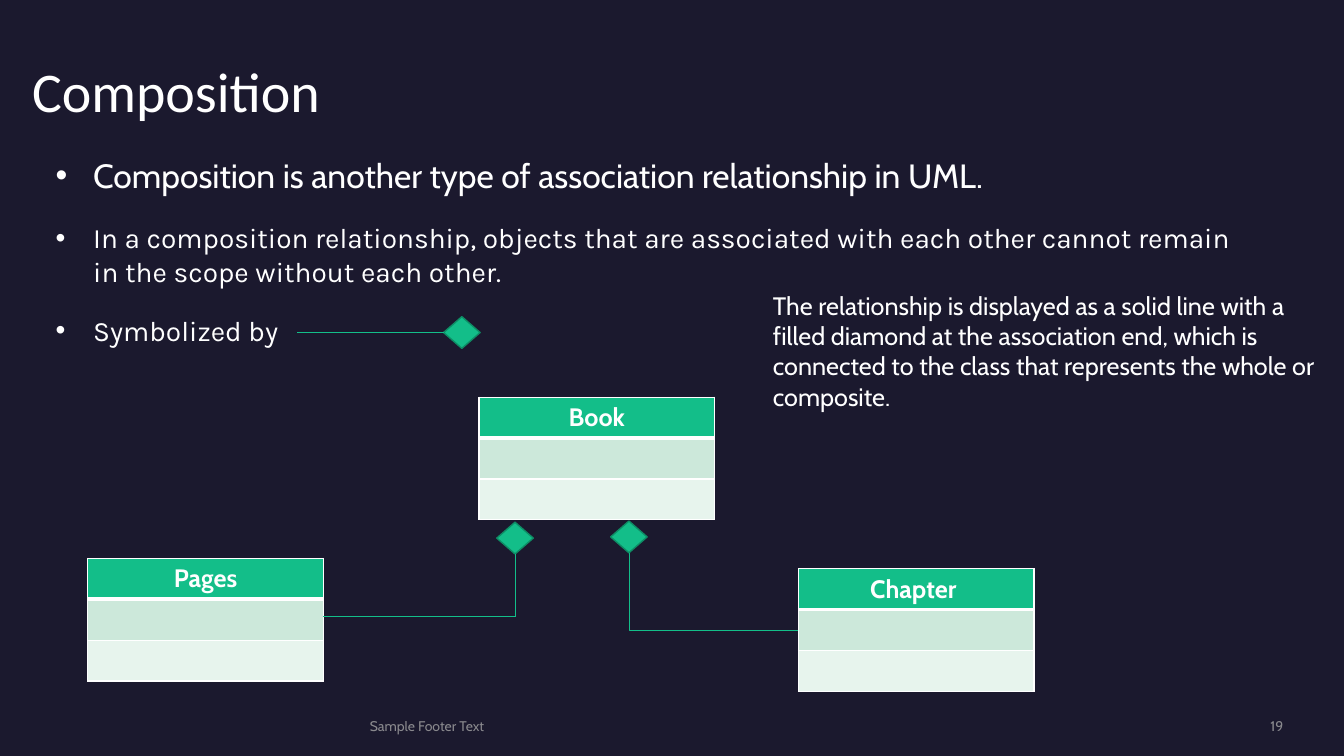
from dataclasses import dataclass

from lxml import etree
from pptx import Presentation
from pptx.dml.color import RGBColor
from pptx.enum.dml import MSO_THEME_COLOR
from pptx.enum.shapes import MSO_CONNECTOR, MSO_SHAPE
from pptx.enum.text import MSO_ANCHOR, MSO_AUTO_SIZE, PP_ALIGN
from pptx.oxml import parse_xml
from pptx.oxml.ns import nsdecls, qn
from pptx.util import Cm, Pt

STRAIGHT, ELBOW = MSO_CONNECTOR.STRAIGHT, MSO_CONNECTOR.ELBOW
DIAMOND = MSO_SHAPE.DIAMOND
LEFT, CENTER, RIGHT = PP_ALIGN.LEFT, PP_ALIGN.CENTER, PP_ALIGN.RIGHT
TOP, MIDDLE, BOTTOM = MSO_ANCHOR.TOP, MSO_ANCHOR.MIDDLE, MSO_ANCHOR.BOTTOM
NO_FIT, GROW = MSO_AUTO_SIZE.NONE, MSO_AUTO_SIZE.SHAPE_TO_FIT_TEXT

NAVY, WHITE, GRAY = "1B192E", "FFFFFF", "A6A6A6"
GREEN, DARK_GREEN = "13BE89", "0E8D65"
ROW_FILLS = (GREEN, "CCE8DA", "E7F4ED")
CLASS_WIDTH, ROW_HEIGHT = 5.94, 1.03
DIAMOND_WIDTH, DIAMOND_HEIGHT = 0.92, 0.8
LEFT_SITE, BOTTOM_SITE = 1, 2
BULLET_INDENT = 0.95


@dataclass(frozen=True)
class ClassBox:
    name: str
    left: float
    top: float


@dataclass(frozen=True)
class Bullet:
    text: str
    size: int
    font: str


@dataclass(frozen=True)
class FooterText:
    text: str
    left: float
    width: float
    align: PP_ALIGN


CLASS_BOXES = (
    ClassBox("Pages", 2.21, 14.07),
    ClassBox("Book", 12.07, 10.01),
    ClassBox("Chapter ", 20.12, 14.33),
)
BULLETS = (
    Bullet("Composition is another type of association relationship in UML.", 24, "Cabin"),
    Bullet("In a composition relationship, objects that are associated with each other "
           "cannot remain in the scope without each other.", 20, "Karla"),
    Bullet("Symbolized by", 20, "Karla"),
)
FOOTER_TEXTS = (
    FooterText("Sample Footer Text", 9.32, 17.73, LEFT),
    FooterText("19", 27.64, 4.7, RIGHT),
)
NOTE = ("The relationship is displayed as a solid line with a filled diamond at the "
        "association end, which is connected to the class that represents the whole "
        "or composite.")


def color(value: str) -> RGBColor:
    """Turn a hex string into a colour."""
    return RGBColor.from_string(value)


def style_paragraph(paragraph, text: str, font: str, size: int, fill: str = WHITE,
                    align: PP_ALIGN = LEFT, bold: bool = False) -> None:
    """Write text into a paragraph and format it."""
    paragraph.text = text
    paragraph.alignment = align
    paragraph.font.name = font
    paragraph.font.size = Pt(size)
    paragraph.font.bold = bold
    paragraph.font.color.rgb = color(fill)


def prepare_frame(shape, anchor: MSO_ANCHOR = TOP):
    """Make the text frame wrap, without insets, and return it."""
    frame = shape.text_frame
    frame.word_wrap = True
    frame.auto_size = NO_FIT
    frame.vertical_anchor = anchor
    frame.margin_left = frame.margin_right = frame.margin_top = frame.margin_bottom = 0
    return frame


def add_title(slide) -> None:
    """Place and format the title placeholder."""
    title = slide.shapes.title
    title.left, title.top, title.width, title.height = Cm(0.81), Cm(1.09), Cm(19.53), Cm(2.03)
    frame = prepare_frame(title, BOTTOM)
    style_paragraph(frame.paragraphs[0], "Composition", "Calibri", 40)


def add_bullets(slide) -> None:
    """Add the bulleted statements."""
    box = slide.shapes.add_textbox(Cm(1.4), Cm(3.91), Cm(30.35), Cm(7.98))
    frame = prepare_frame(box)
    for index, bullet in enumerate(BULLETS):
        paragraph = frame.add_paragraph() if index else frame.paragraphs[0]
        style_paragraph(paragraph, bullet.text, bullet.font, bullet.size)
        paragraph.space_before, paragraph.space_after = Pt(10), Pt(8)
        properties = paragraph._p.get_or_add_pPr()
        properties.set("marL", str(Cm(BULLET_INDENT)))
        properties.set("indent", str(-Cm(BULLET_INDENT)))
        marks = (f'<a:buFont {nsdecls("a")} typeface="Arial"/>',
                 f'<a:buChar {nsdecls("a")} char="•"/>')
        for mark in marks:
            properties.find(qn("a:defRPr")).addprevious(parse_xml(mark))


def add_note(slide) -> None:
    """Add the explanation of the notation."""
    box = slide.shapes.add_textbox(Cm(19.23), Cm(7.19), Cm(14.63), Cm(2.57))
    box.text_frame.word_wrap = True
    box.text_frame.auto_size = GROW
    style_paragraph(box.text_frame.paragraphs[0], NOTE, "Cabin", 18)


def add_footer_text(slide, footer: FooterText) -> None:
    """Add one slightly transparent footer text."""
    box = slide.shapes.add_textbox(Cm(footer.left), Cm(18.08), Cm(footer.width), Cm(0.43))
    paragraph = prepare_frame(box, MIDDLE).paragraphs[0]
    style_paragraph(paragraph, footer.text, "Cabin", 10, GRAY, footer.align)
    for tint in paragraph._p.iter(qn("a:srgbClr")):
        etree.SubElement(tint, qn("a:alpha")).set("val", "80000")


def add_borders(cell, row: int) -> None:
    """Draw white cell borders, thicker below the header."""
    widths = {"L": 1, "R": 1, "T": 3 if row == 1 else 1, "B": 3 if row == 0 else 1}
    for side, width in widths.items():
        cell._tc.get_or_add_tcPr().append(parse_xml(
            f'<a:ln{side} {nsdecls("a")} w="{Pt(width)}"><a:solidFill>'
            f'<a:srgbClr val="{WHITE}"/></a:solidFill></a:ln{side}>'))


def add_class_box(slide, box: ClassBox) -> None:
    """Add a class as a table of three rows."""
    rows = len(ROW_FILLS)
    table = slide.shapes.add_table(rows, 1, Cm(box.left), Cm(box.top),
                                   Cm(CLASS_WIDTH), Cm(ROW_HEIGHT * rows)).table
    table.first_row = table.horz_banding = False
    for row, fill in enumerate(ROW_FILLS):
        cell = table.cell(row, 0)
        add_borders(cell, row)
        cell.fill.solid()
        cell.fill.fore_color.rgb = color(fill)
    style_paragraph(table.cell(0, 0).text_frame.paragraphs[0], box.name, "Cabin", 18,
                    align=CENTER, bold=True)


def add_diamond(slide, left: float, top: float):
    """Add a composition diamond."""
    diamond = slide.shapes.add_shape(DIAMOND, Cm(left), Cm(top),
                                     Cm(DIAMOND_WIDTH), Cm(DIAMOND_HEIGHT))
    diamond.shadow.inherit = False
    diamond.fill.solid()
    diamond.fill.fore_color.rgb = color(GREEN)
    diamond.line.color.rgb = color(DARK_GREEN)
    diamond.line.width = Pt(1)
    return diamond


def add_line(slide, start: tuple[float, float], end: tuple[float, float],
             kind: MSO_CONNECTOR = STRAIGHT):
    """Add a thin green connector."""
    line = slide.shapes.add_connector(kind, Cm(start[0]), Cm(start[1]), Cm(end[0]), Cm(end[1]))
    line.line.color.rgb = color(GREEN)
    line.line.width = Pt(0.5)
    etree.SubElement(line._element.spPr, qn("a:effectLst"))
    return line


def add_relationships(slide) -> None:
    """Add the diamonds and the lines that lead to them."""
    pages_diamond = add_diamond(slide, 12.52, 13.16)
    add_diamond(slide, 15.39, 13.13)
    symbol_diamond = add_diamond(slide, 11.18, 7.98)
    add_line(slide, (8.15, 15.54), (12.98, 15.54))
    add_line(slide, (12.98, 15.54), (12.98, 13.96)).end_connect(pages_diamond, BOTTOM_SITE)
    add_line(slide, (7.49, 8.38), (11.18, 8.38)).end_connect(symbol_diamond, LEFT_SITE)
    elbow = add_line(slide, (20.12, 15.88), (15.85, 13.93), ELBOW)
    elbow._element.spPr.find(qn("a:prstGeom")).set("prst", "bentConnector2")


def main() -> None:
    """Build the slide and save it."""
    presentation = Presentation()
    presentation.slide_width, presentation.slide_height = Cm(33.87), Cm(19.05)
    slide = presentation.slides.add_slide(presentation.slide_layouts[5])
    slide.background.fill.solid()
    slide.background.fill.fore_color.rgb = color(NAVY)
    add_title(slide)
    add_bullets(slide)
    add_note(slide)
    for footer in FOOTER_TEXTS:
        add_footer_text(slide, footer)
    for box in CLASS_BOXES:
        add_class_box(slide, box)
    add_relationships(slide)
    presentation.save("out.pptx")


if __name__ == "__main__":
    main()
